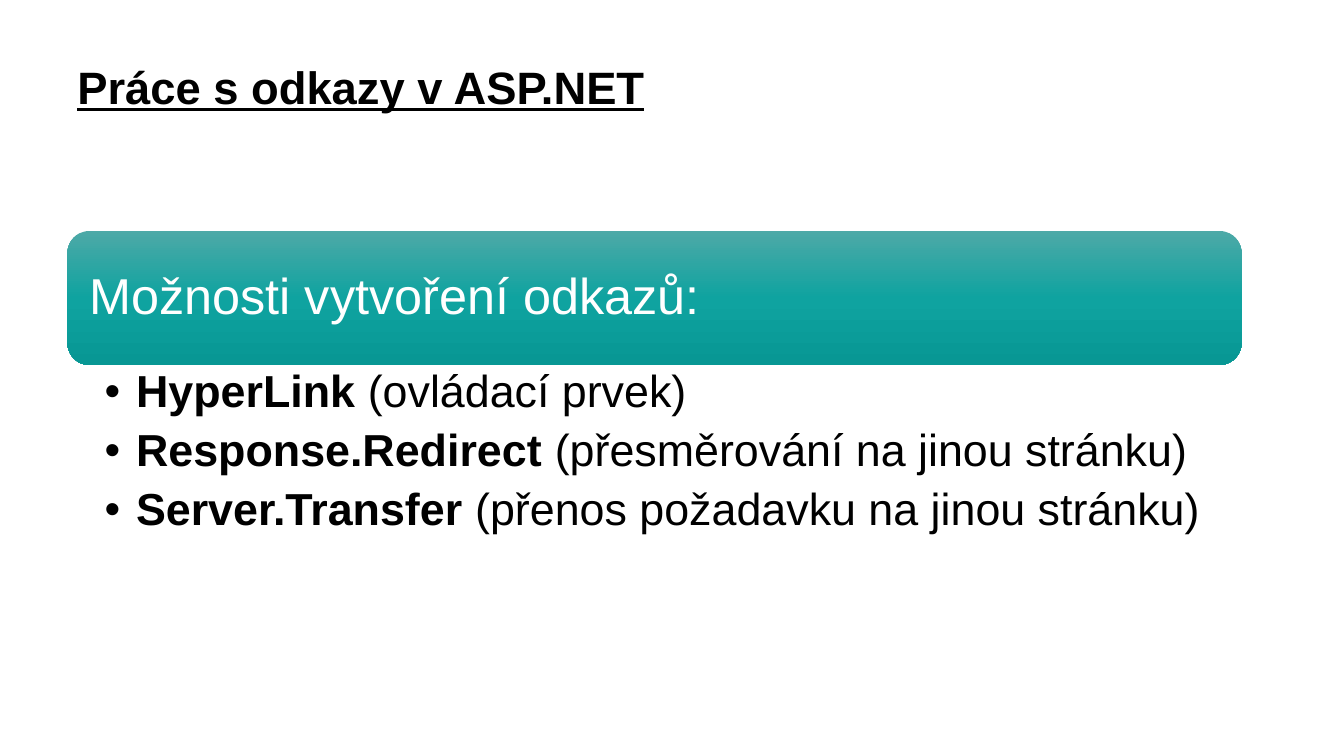
import copy

import pptx
import pptx.dml.color
import pptx.enum.shapes
import pptx.enum.text
import pptx.oxml
import pptx.oxml.ns
import pptx.util

Cm = pptx.util.Cm
Pt = pptx.util.Pt

COLORS = {
    "text": "000000",
    "heading": "FFFFFF",
    "band_top": "4DA9A7",
    "band_middle": "0FA3A0",
    "band_bottom": "089794",
}
FONT = "Arial"
LEFT, WIDTH = Cm(1.7), Cm(29.59)
BAND_TOP, BAND_HEIGHT = Cm(5.82), Cm(3.38)
LINK_OPTIONS = [
    ("HyperLink", " (ovládací prvek)"),
    ("Response.Redirect", " (přesměrování na jinou stránku)"),
    ("Server.Transfer", " (přenos požadavku na jinou stránku)"),
]


def rgb(name):
    return pptx.dml.color.RGBColor.from_string(COLORS[name])


def set_frame(frame, left, top, right, bottom, anchor):
    frame.word_wrap = True
    frame.margin_left, frame.margin_top = Cm(left), Cm(top)
    frame.margin_right, frame.margin_bottom = Cm(right), Cm(bottom)
    frame.vertical_anchor = anchor


def format_paragraph(paragraph):
    paragraph.alignment = pptx.enum.text.PP_ALIGN.LEFT
    paragraph.line_spacing = 0.9


def add_run(paragraph, text, size, color="text", bold=False, underline=False):
    run = paragraph.add_run()
    run.text = text
    run.font.name = FONT
    run.font.size = Pt(size)
    run.font.bold = bold
    run.font.underline = underline
    run.font.color.rgb = rgb(color)


def add_bullet(paragraph, indent):
    properties = paragraph._p.get_or_add_pPr()
    properties.set("marL", str(indent))
    properties.set("indent", str(-indent))
    namespace = pptx.oxml.ns.nsdecls("a")
    for element in (f'<a:buFont {namespace} typeface="{FONT}"/>',
                    f'<a:buChar {namespace} char="•"/>'):
        properties.append(pptx.oxml.parse_xml(element))


def fill_gradient(shape, top, middle, bottom):
    shape.fill.gradient()
    shape.fill.gradient_angle = 270
    first = shape.fill._xPr.find(".//" + pptx.oxml.ns.qn("a:gs"))
    first.addnext(copy.deepcopy(first))
    stops = zip(shape.fill.gradient_stops, (0, 0.5, 1), (top, middle, bottom))
    for stop, position, color in stops:
        stop.position = position
        stop.color.rgb = rgb(color)


def add_title(slide, text):
    title = slide.shapes.add_textbox(LEFT, Cm(1.52), WIDTH, Cm(3.15))
    set_frame(title.text_frame, 0.25, 0.13, 0.25, 0.13,
              pptx.enum.text.MSO_ANCHOR.TOP)
    paragraph = title.text_frame.paragraphs[0]
    format_paragraph(paragraph)
    add_run(paragraph, text, 32.4, bold=True, underline=True)


def add_heading_band(slide, text):
    band = slide.shapes.add_shape(
        pptx.enum.shapes.MSO_SHAPE.ROUNDED_RECTANGLE,
        LEFT, BAND_TOP, WIDTH, BAND_HEIGHT)
    band.shadow.inherit = False
    band.line.fill.background()
    fill_gradient(band, "band_top", "band_middle", "band_bottom")
    set_frame(band.text_frame, 0.39, 0.39, 0.39, 0.39,
              pptx.enum.text.MSO_ANCHOR.MIDDLE)
    paragraph = band.text_frame.paragraphs[0]
    format_paragraph(paragraph)
    add_run(paragraph, text, 36, "heading")


def add_option_list(slide, options):
    option_list = slide.shapes.add_textbox(
        LEFT, BAND_TOP + BAND_HEIGHT, WIDTH, Cm(7.29))
    frame = option_list.text_frame
    set_frame(frame, 0.94, 0.1, 0.64, 0.1, pptx.enum.text.MSO_ANCHOR.TOP)
    for index, (method, description) in enumerate(options):
        paragraph = frame.add_paragraph() if index else frame.paragraphs[0]
        format_paragraph(paragraph)
        paragraph.space_after = Pt(7.5)
        add_bullet(paragraph, Cm(0.79))
        add_run(paragraph, method, 32, bold=True)
        add_run(paragraph, description, 32)


def main():
    presentation = pptx.Presentation()
    presentation.slide_width = Cm(33.87)
    presentation.slide_height = Cm(19.05)
    slide = presentation.slides.add_slide(presentation.slide_layouts[6])
    add_title(slide, "Práce s odkazy v ASP.NET")
    add_heading_band(slide, "Možnosti vytvoření odkazů:")
    add_option_list(slide, LINK_OPTIONS)
    presentation.save("out.pptx")


if __name__ == "__main__":
    main()
